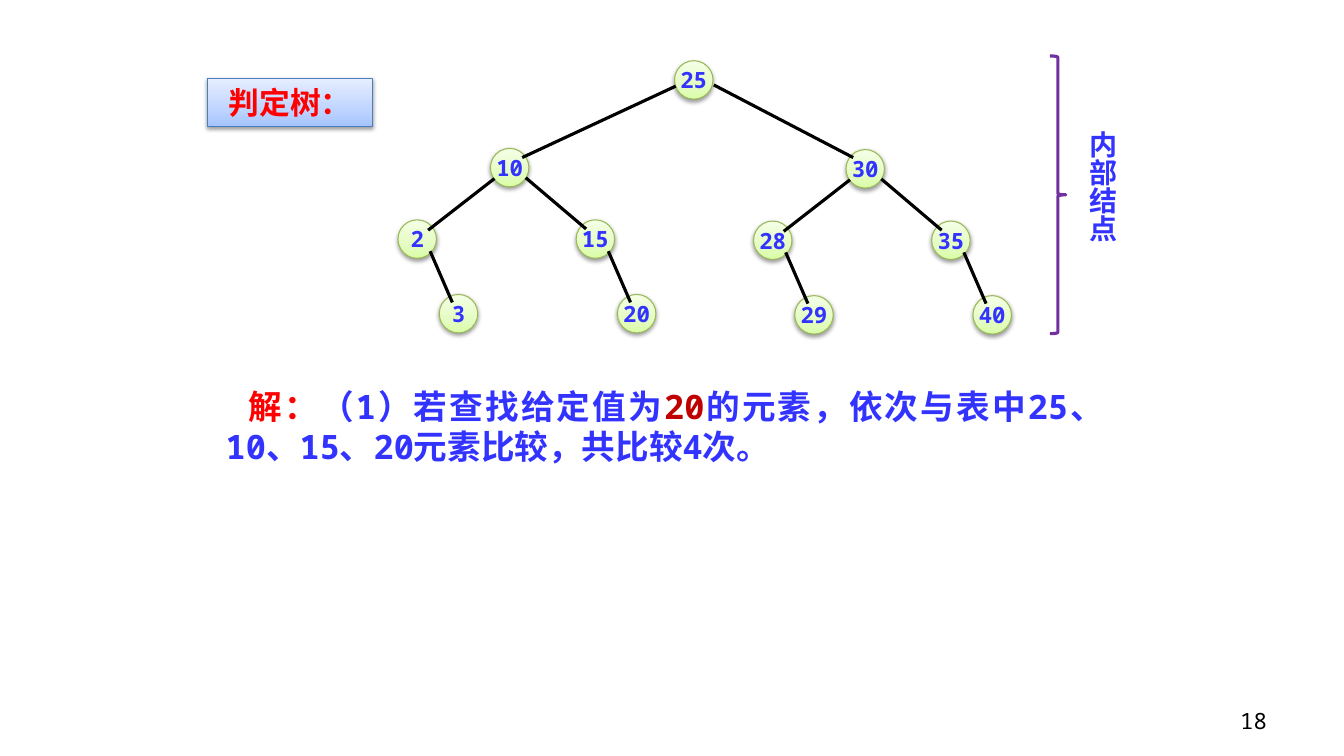
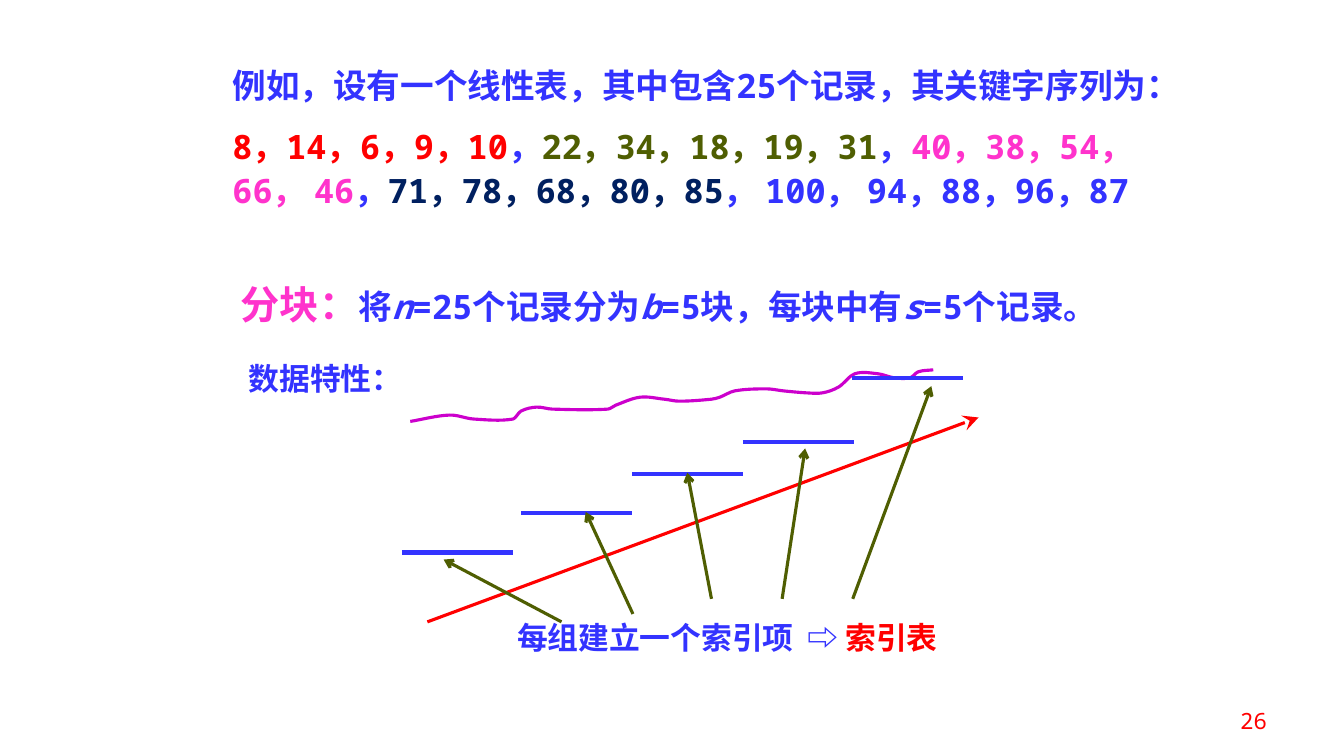
from lxml import etree
from pptx import Presentation
from pptx import util as u
from pptx.dml import color
from pptx.enum import shapes, text
from pptx.oxml import ns

COLORS = {
    "blue": "3333FF", "red": "FF0000", "dark_red": "C00000", "olive": "4F5E02",
    "pink": "FF33CC", "navy": "002060", "magenta": "CC00CC", "purple": "7030A0",
    "black": "000000", "leaf_line": "98B955", "sky_line": "4B7EBC",
}
GRADIENTS = {
    "leaf": ("DAFDA7", "E4FCC2", "F5FFE7"),
    "sky": ("A4C4FF", "BFD4FF", "E6EEFF"),
}
MONO = "Noto Sans Mono"
SANS = "Noto Sans CJK SC"
NODE_SIZE = 0.97
LINKS = {
    "root_left": ((-4.64, 2.21), (0.03, 0.64), (-3.84, 2.44)),
    "root_right": ((4.32, 2.24), (0.99, 0.61), (4.5, 2.44)),
    "left": ((-2.33, 1.8), (0.1, 0.76), (-1.57, 2.06)),
    "right": ((2.16, 1.8), (0.89, 0.74), (2.41, 2.03)),
    "leaf": ((1.04, 1.88), (0.81, 0.79), (1.37, 2.08)),
}


def branch(key, left, left_leaf, right, right_leaf):
    return (key, {
        "left": (left, {"leaf": (left_leaf, {})}),
        "right": (right, {"leaf": (right_leaf, {})}),
    })


DECISION_TREE = ("25", {
    "root_left": branch("10", "2", "3", "15", "20"),
    "root_right": branch("30", "28", "29", "35", "40"),
})
TREND = [
    (0, 1.3), (0.99, 1.14), (1.6, 1.24), (2.59, 1.24), (2.79, 1.04),
    (3.18, 0.94), (3.58, 0.99), (4.98, 0.99), (5.18, 0.89), (5.79, 0.69),
    (6.4, 0.74), (6.78, 0.79), (7.59, 0.74), (7.8, 0.69), (8.18, 0.53),
    (8.99, 0.48), (9.4, 0.53), (9.98, 0.58), (10.39, 0.58), (10.8, 0.43),
    (11.2, 0.1), (11.79, 0.1), (12.19, 0.2), (12.6, 0.2), (12.8, 0.05),
    (13.18, 0),
]
BLOCK_WIDTH = 2.8
BLOCKS = [(0.13, 4.92), (3.13, 3.93), (5.93, 2.94), (8.72, 2.13), (11.46, 0.53)]
POINTERS = [
    ((4.15, 6.67), (1.18, 5.1)), ((5.95, 6.47), (4.76, 3.9)),
    ((7.93, 6.09), (7.32, 2.91)), ((9.71, 6.09), (10.29, 2.3)),
    ((11.49, 6.09), (13.47, 0.73)),
]


def rgb(name):
    return color.RGBColor.from_string(COLORS[name])


def shift(origin, offset):
    return origin[0] + offset[0], origin[1] + offset[1]


def lengths(values):
    return [u.Cm(value) for value in values]


def add_span(para, words, tint, size=24, bold=True, italic=False, font=MONO, spread=0):
    span = para.add_run()
    span.text = words
    span.font.size = u.Pt(size)
    span.font.bold = bold
    span.font.italic = italic
    span.font.name = font
    span.font.color.rgb = rgb(tint)
    etree.SubElement(span.font._element, ns.qn("a:ea"), typeface=SANS)
    if spread:
        span.font._element.set("spc", str(spread * 100))


def add_spans(para, spans, **style):
    for words, tint, *extra in spans:
        add_span(para, words, tint, **{**style, **(extra[0] if extra else {})})


def add_text(page, box, paras, align=None, grow=True, **style):
    frame = page.shapes.add_textbox(*lengths(box)).text_frame
    frame.word_wrap = True
    if grow:
        frame.auto_size = text.MSO_AUTO_SIZE.SHAPE_TO_FIT_TEXT
    for index, spans in enumerate(paras):
        para = frame.add_paragraph() if index else frame.paragraphs[0]
        para.alignment = align
        add_spans(para, spans, **style)
    return frame


def add_line(page, start, end, tint, width=2.25, head=None, head_size="med"):
    line = page.shapes.add_connector(
        shapes.MSO_CONNECTOR.STRAIGHT, *lengths((*start, *end)))
    line.line.color.rgb = rgb(tint)
    line.line.width = u.Pt(width)
    if head:
        etree.SubElement(line.line._get_or_add_ln(), ns.qn("a:tailEnd"),
                         type=head, w=head_size, len=head_size)
    etree.SubElement(line._element.spPr, ns.qn("a:effectLst"))


def add_glossy(page, kind, box, gradient, spans, size):
    shape = page.shapes.add_shape(kind, *lengths(box))
    shape.fill.gradient()
    shape.fill.gradient_angle = 90
    properties = shape._element.spPr
    stops = properties.find(f"{ns.qn('a:gradFill')}/{ns.qn('a:gsLst')}")
    for stop in list(stops):
        stops.remove(stop)
    for position, tint in zip((0, 35, 100), GRADIENTS[gradient]):
        stop = etree.SubElement(stops, ns.qn("a:gs"), pos=str(position * 1000))
        etree.SubElement(stop, ns.qn("a:srgbClr"), val=tint)
    shape.line.color.rgb = rgb(gradient + "_line")
    shape.line.width = u.Pt(0.75)
    shape.shadow.inherit = False
    shadow = etree.SubElement(
        properties.find(ns.qn("a:effectLst")), ns.qn("a:outerShdw"),
        blurRad=str(u.Pt(3.1)), dist=str(u.Pt(1.6)), dir="5400000", rotWithShape="0")
    tone = etree.SubElement(shadow, ns.qn("a:srgbClr"), val=COLORS["black"])
    etree.SubElement(tone, ns.qn("a:alpha"), val="38000")
    para = shape.text_frame.paragraphs[0]
    para.alignment = text.PP_ALIGN.CENTER
    add_spans(para, spans, size=size)
    return shape.text_frame


def add_page_number(page, number, tint):
    frame = add_text(page, (24.28, 17.65, 7.9, 1.02), [[(number, tint)]],
                     text.PP_ALIGN.RIGHT, grow=False, size=16, bold=False)
    frame.vertical_anchor = text.MSO_ANCHOR.MIDDLE


def draw_tree(page, origin, tree):
    key, children = tree
    frame = add_glossy(page, shapes.MSO_SHAPE.OVAL, (*origin, NODE_SIZE, NODE_SIZE),
                       "leaf", [(key, "blue")], 16)
    frame.margin_left = frame.margin_right = frame.margin_top = frame.margin_bottom = 0
    frame.word_wrap = False
    frame.vertical_anchor = text.MSO_ANCHOR.MIDDLE
    for link, child in children.items():
        offset, start, end = LINKS[link]
        draw_tree(page, shift(origin, offset), child)
        add_line(page, shift(origin, start), shift(origin, end), "black")


def draw_level_brace(page, origin):
    brace = page.shapes.add_shape(
        shapes.MSO_SHAPE.RIGHT_BRACE, *lengths((*origin, 0.4, 7)))
    brace.fill.background()
    brace.line.color.rgb = rgb("purple")
    brace.line.width = u.Pt(2.25)
    brace.shadow.inherit = False
    frame = add_text(page, (*shift(origin, (0.5, 1.64)), 1.37, 3.58),
                     [[("内部结点", "blue")]], size=20)
    frame._txBody.bodyPr.set("vert", "eaVert")


def curve_points(knots):
    last = len(knots) - 1
    slopes = []
    for index in range(last + 1):
        before, after = knots[max(index - 1, 0)], knots[min(index + 1, last)]
        slopes.append((after[1] - before[1]) / (after[0] - before[0]))
    points = [knots[0]]
    for index in range(last):
        start, end = knots[index:index + 2]
        third = (end[0] - start[0]) / 3
        points += [shift(start, (third, third * slopes[index])),
                   shift(end, (-third, -third * slopes[index + 1])), end]
    return points


def draw_trend(page, origin):
    points = [lengths(shift(origin, point)) for point in curve_points(TREND)]
    builder = page.shapes.build_freeform(*points[0])
    builder.add_line_segments(points[1:], close=False)
    curve = builder.convert_to_shape()
    segments = list(curve._element.iter(ns.qn("a:lnTo")))
    outline = segments[0].getparent()
    for index, segment in enumerate(segments):
        if index % 3 == 0:
            bend = etree.SubElement(outline, ns.qn("a:cubicBezTo"))
        bend.append(segment[0])
        outline.remove(segment)
    curve.fill.background()
    curve.line.color.rgb = rgb("magenta")
    curve.line.width = u.Pt(2.25)
    curve.shadow.inherit = False


def draw_index_diagram(page, origin):
    draw_trend(page, shift(origin, (0.34, 0.32)))
    for block in BLOCKS:
        start = shift(origin, block)
        add_line(page, start, shift(start, (BLOCK_WIDTH, 0)), "blue", 3)
    add_line(page, shift(origin, (0.77, 6.67)), shift(origin, (14.66, 1.52)),
             "red", head="stealth", head_size="lg")
    add_text(page, (*shift(origin, (-3.98, -0.06)), 5.36, 1.19),
             [[("数据特性：", "blue")]], size=22, font=SANS)
    add_text(page, (*shift(origin, (2.78, 6.47)), 12.7, 1.19), [[
        ("每组建立一个索引项", "blue"), (" ", "blue", {"spread": 5}),
        ("⇨ ", "blue"), ("索引表", "red"),
    ]], size=22)
    for start, end in POINTERS:
        add_line(page, shift(origin, start), shift(origin, end), "olive", head="arrow")


def build_tree_page(page):
    frame = add_text(page, (5.44, 9.6, 22.63, 2.31), [[
        ("解：", "red"), ("（1）若查找给定值为", "blue"), ("20", "dark_red"),
        ("的元素，依次与表中25、10、15、20元素比较，共比较4次。", "blue"),
    ]], text.PP_ALIGN.JUSTIFY)
    frame.paragraphs[0]._p.get_or_add_pPr().set("indent", str(u.Cm(0.58)))
    draw_tree(page, (17, 1.53), DECISION_TREE)
    draw_level_brace(page, (26.46, 1.41))
    label = add_glossy(page, shapes.MSO_SHAPE.RECTANGLE, (5.23, 1.98, 4.17, 1.21),
                       "sky", [("判定树：", "red")], 22)
    label.vertical_anchor = text.MSO_ANCHOR.TOP
    add_page_number(page, "18", "black")


def build_index_page(page):
    frame = add_text(page, (5.61, 1.4, 24.21, 4.09), [
        [("例如，设有一个线性表，其中包含25个记录，其关键字序列为：", "blue")],
        [("8，14，6，9，10", "red"), ("，", "blue"),
         ("22，34，18，19，31", "olive"), ("，", "blue"),
         ("40，38，54，66， 46", "pink"), ("，", "blue"),
         ("71，78，68，80，85", "navy"), ("， 100， 94，88，96，87", "blue")],
    ])
    for para in frame.paragraphs:
        para.line_spacing = 1.1
        para.space_before = u.Pt(12)
    slanted = {"italic": True}
    add_text(page, (5.82, 6.93, 22.63, 1.45), [[
        ("分块：", "pink", {"size": 28}), ("将", "blue"),
        ("n", "blue", slanted), ("=25个记录分为", "blue"),
        ("b", "blue", slanted), ("=5块，每块中有", "blue"),
        ("s", "blue", slanted), ("=5个记录。", "blue"),
    ]])
    draw_index_diagram(page, (10, 9))
    add_page_number(page, "26", "red")


def main():
    deck = Presentation()
    deck.slide_width, deck.slide_height = u.Cm(33.87), u.Cm(19.05)
    for build in (build_tree_page, build_index_page):
        build(deck.slides.add_slide(deck.slide_layouts[6]))
    deck.save("out.pptx")


if __name__ == "__main__":
    main()
